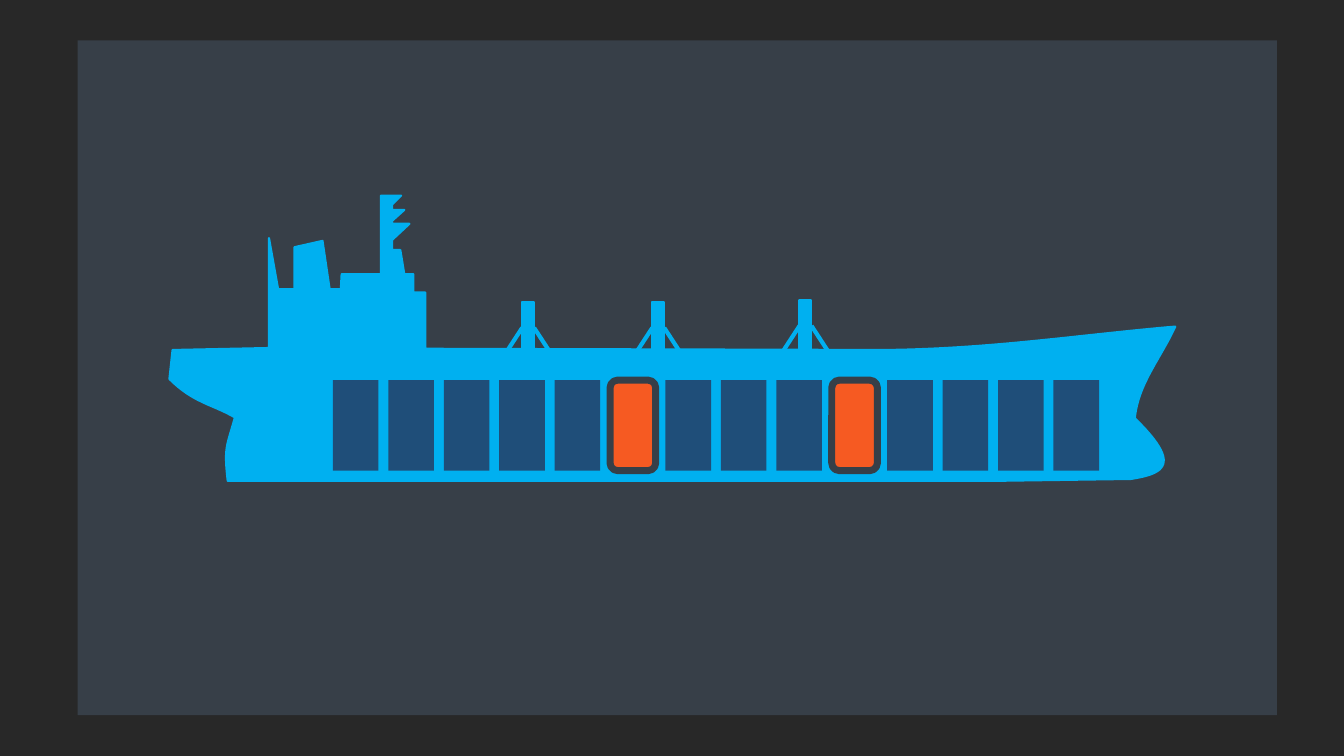
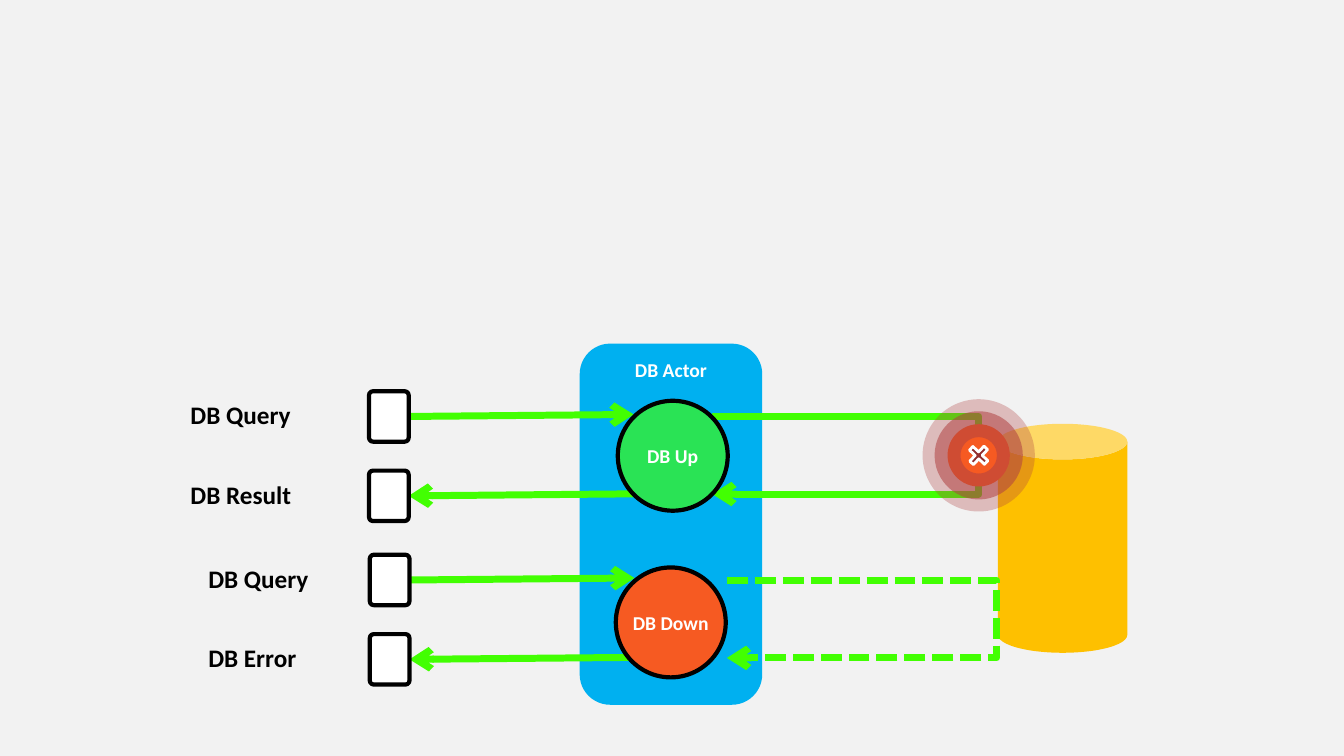
from dataclasses import dataclass

from lxml.etree import SubElement
from pptx import Presentation
from pptx.dml.color import RGBColor
from pptx.enum.dml import MSO_LINE
from pptx.enum.shapes import MSO_CONNECTOR, MSO_SHAPE
from pptx.enum.text import MSO_ANCHOR, PP_ALIGN
from pptx.oxml.ns import qn
from pptx.util import Cm, Pt


@dataclass(frozen=True)
class Theme:
    night: str = "282828"
    paper: str = "F2F2F2"
    panel: str = "373F48"
    sky: str = "00B0F0"
    navy: str = "1F4E79"
    orange: str = "F65A22"
    frame: str = "363F48"
    gold: str = "FEC000"
    signal: str = "42FF02"
    alarm: str = "B04242"
    cross: str = "922E2E"
    black: str = "000000"
    white: str = "FFFFFF"
    font: str = "Calibri"
    label_size: int = 18
    node_size: int = 14
    outline: float = 3
    wire: float = 5


THEME = Theme()

# Outlines in cm from the ship's top left corner; six numbers make a curve.
SHIP = [
    (5.33, 0), (5.84, 0), (5.61, 0.23), (5.61, 0.36), (5.92, 0.36),
    (5.61, 0.64), (5.61, 0.71), (6.05, 0.71), (5.61, 1.12), (5.61, 1.37),
    (5.82, 1.37), (5.92, 1.98), (6.15, 1.98), (6.15, 2.44), (6.45, 2.44),
    (6.45, 3.86), (18.06, 3.89),
    (20.73, 3.86, 22.91, 3.51, 25.35, 3.3),
    (24.99, 4.09, 24.41, 4.75, 24.33, 5.61),
    (25.53, 6.78, 25.07, 7.01, 24.23, 7.14),
    (20.65, 7.19), (1.47, 7.19),
    (1.37, 6.32, 1.45, 6.32, 1.65, 5.59),
    (1.09, 5.26, 0.61, 5.23, 0, 4.62),
    (0.08, 3.89), (2.51, 3.84), (2.51, 1.07), (2.74, 2.36), (3.15, 2.36),
    (3.15, 1.3), (3.86, 1.14), (4.04, 2.36), (4.32, 2.36), (4.34, 1.98),
    (5.33, 1.98),
]
MASTS = [(8.89, 2.69), (12.17, 2.69), (15.88, 2.64)]
CONTAINER_COUNT = 14
FAULTY_CONTAINERS = {5, 9}


def set_alpha(parent, percent):
    color = next(parent.iter(qn("a:srgbClr")))
    SubElement(color, qn("a:alpha"), val=str(percent * 1000))


def style_line(shape, color, weight, alpha=None, arrow=False, dashed=False):
    shape.line.color.rgb = RGBColor.from_string(color)
    shape.line.width = Pt(weight)
    if dashed:
        shape.line.dash_style = MSO_LINE.SQUARE_DOT
    ln = shape.element.spPr.find(qn("a:ln"))
    if alpha:
        set_alpha(ln, alpha)
    if arrow:
        SubElement(ln, qn("a:tailEnd"), type="arrow")


def paint(shape, fill=None, fill_alpha=None, line=None, weight=THEME.outline,
          **line_format):
    shape.shadow.inherit = False
    if fill:
        shape.fill.solid()
        shape.fill.fore_color.rgb = RGBColor.from_string(fill)
        if fill_alpha:
            set_alpha(shape.element.spPr.find(qn("a:solidFill")), fill_alpha)
    else:
        shape.fill.background()
    if line:
        style_line(shape, line, weight, **line_format)
    else:
        shape.line.fill.background()
    return shape


def add_block(page, kind, left, top, width, height, adjust=None, **colors):
    shape = page.shapes.add_shape(kind, Cm(left), Cm(top), Cm(width), Cm(height))
    if adjust is not None:
        shape.adjustments[0] = adjust
    return paint(shape, **colors)


def add_line(page, start, end, color, weight, **line_format):
    line = page.shapes.add_connector(
        MSO_CONNECTOR.STRAIGHT, *(Cm(value) for value in (*start, *end)))
    style_line(line, color, weight, **line_format)
    SubElement(line.element.spPr, qn("a:effectLst"))


def add_outline(page, points, left=0, top=0, close=True, **colors):
    scaled = [(Cm(left + x), Cm(top + y)) for x, y in points]
    builder = page.shapes.build_freeform(*scaled[0])
    builder.add_line_segments(scaled[1:], close=close)
    return paint(builder.convert_to_shape(), **colors)


def write(shape, text, size=THEME.node_size, color=THEME.white,
          align=PP_ALIGN.CENTER, anchor=MSO_ANCHOR.MIDDLE, wrap=True):
    frame = shape.text_frame
    frame.word_wrap = wrap
    frame.vertical_anchor = anchor
    para = frame.paragraphs[0]
    para.alignment = align
    span = para.add_run()
    span.text = text
    span.font.name = THEME.font
    span.font.size = Pt(size)
    span.font.bold = True
    span.font.color.rgb = RGBColor.from_string(color)


def flatten(outline, steps=24):
    """Replace each cubic curve of an outline by short straight steps."""
    points = []
    for node in outline:
        if len(node) == 2:
            points.append(node)
            continue
        (x0, y0), (x1, y1, x2, y2, x3, y3) = points[-1], node
        for step in range(1, steps + 1):
            t = step / steps
            a, b, c, d = (1 - t) ** 3, 3 * t * (1 - t) ** 2, 3 * t * t * (1 - t), t ** 3
            points.append((a * x0 + b * x1 + c * x2 + d * x3,
                           a * y0 + b * y1 + c * y2 + d * y3))
    return points


def add_mast(page, left, top):
    width, reach, brace_top, brace_bottom = 0.3, 0.41, 0.64, 1.27
    for edge, foot in ((left, left - reach), (left + width, left + width + reach)):
        add_line(page, (edge, top + brace_top), (foot, top + brace_bottom),
                 THEME.sky, THEME.outline)
    add_block(page, MSO_SHAPE.RECTANGLE, left, top, width, brace_bottom,
              fill=THEME.sky, line=THEME.sky, weight=1.5)


def add_containers(page, left, top, span, width=1.15, height=2.28):
    pitch = (span - width) / (CONTAINER_COUNT - 1)
    for index in range(CONTAINER_COUNT):
        place = (left + index * pitch, top, width, height)
        if index in FAULTY_CONTAINERS:
            add_block(page, MSO_SHAPE.ROUNDED_RECTANGLE, *place,
                      fill=THEME.orange, line=THEME.frame, weight=5)
        else:
            add_block(page, MSO_SHAPE.RECTANGLE, *place, fill=THEME.navy)


def add_ship(page, left, top):
    for x, y in MASTS:
        add_mast(page, left + x, top + y)
    add_outline(page, flatten(SHIP), left, top,
                fill=THEME.sky, line=THEME.sky, weight=1.5)
    add_containers(page, left + 4.12, top + 4.65, 19.31)


def add_message(page, left, top, label_left, text, incoming):
    """Draw a label, its message box and the arrow to or from the actor."""
    width, height, reach = 1, 1.27, 5.67
    middle = top + height / 2
    near, far = (left + width, middle), (left + width + reach, middle - 0.05)
    start, end = (near, far) if incoming else (far, near)
    add_line(page, start, end, THEME.signal, THEME.wire, arrow=True)
    add_block(page, MSO_SHAPE.ROUNDED_RECTANGLE, left, top, width, height,
              adjust=0.1, fill=THEME.white, line=THEME.black)
    label = page.shapes.add_textbox(Cm(label_left), Cm(top), Cm(3.3), Cm(1.19))
    write(label, text, size=THEME.label_size, color=THEME.black, align=PP_ALIGN.LEFT)


def add_exchange(page, left, top, label_left, reply):
    add_message(page, left, top, label_left, "DB Query", incoming=True)
    add_message(page, left, top + 2, label_left, reply, incoming=False)


def add_database_loop(page, left, top, width, height=1.96, dashed=False):
    right, bottom = left + width, top + height
    add_outline(page, [(left, top), (right, top), (right, bottom), (left, bottom)],
                close=False, line=THEME.signal, weight=THEME.wire,
                arrow=True, dashed=dashed)


def add_state(page, left, top, text, **colors):
    circle = add_block(page, MSO_SHAPE.OVAL, left, top, 2.77, 2.77,
                       line=THEME.black, **colors)
    write(circle, text, wrap=False)


def add_failure(page, left, top, size=1.57):
    for fill, weight, alpha in ((None, 35.75, 31), (THEME.orange, 18.5, 54)):
        add_block(page, MSO_SHAPE.OVAL, left, top, size, size, fill=fill,
                  line=THEME.alarm, weight=weight, alpha=alpha)
    mark = 0.52
    inset = (size - mark) / 2
    cross = add_block(page, MSO_SHAPE.CROSS, left + inset, top + inset, mark, mark,
                      adjust=0.38, fill=THEME.cross, line=THEME.white, weight=2)
    cross.rotation = 313.5


def add_page(deck, color):
    page = deck.slides.add_slide(deck.slide_layouts[6])
    page.background.fill.solid()
    page.background.fill.fore_color.rgb = RGBColor.from_string(color)
    return page


def build_ship_page(deck):
    page = add_page(deck, THEME.night)
    add_block(page, MSO_SHAPE.RECTANGLE, 1.96, 1.02, 30.22, 17, fill=THEME.panel)
    add_ship(page, 4.27, 4.93)


def build_actor_page(deck):
    page = add_page(deck, THEME.paper)
    add_block(page, MSO_SHAPE.CAN, 25.15, 10.68, 3.26, 5.77,
              adjust=0.276, fill=THEME.gold)
    actor = add_block(page, MSO_SHAPE.ROUNDED_RECTANGLE, 14.61, 8.66, 4.6, 9.1,
                      fill=THEME.sky)
    write(actor, "DB Actor", anchor=MSO_ANCHOR.TOP)

    add_exchange(page, 9.3, 9.86, 4.55, "DB Result")
    add_database_loop(page, 17.95, 10.49, 6.72)
    add_state(page, 15.57, 10.1, "DB Up", fill=THEME.signal, fill_alpha=65)

    add_exchange(page, 9.32, 13.98, 5, "DB Error")
    add_database_loop(page, 18.32, 14.62, 6.8, dashed=True)
    add_state(page, 15.52, 14.3, "DB Down", fill=THEME.orange)
    add_failure(page, 23.88, 10.69)


def main():
    deck = Presentation()
    deck.slide_width, deck.slide_height = Cm(33.87), Cm(19.05)
    build_ship_page(deck)
    build_actor_page(deck)
    deck.save("out.pptx")


if __name__ == "__main__":
    main()
